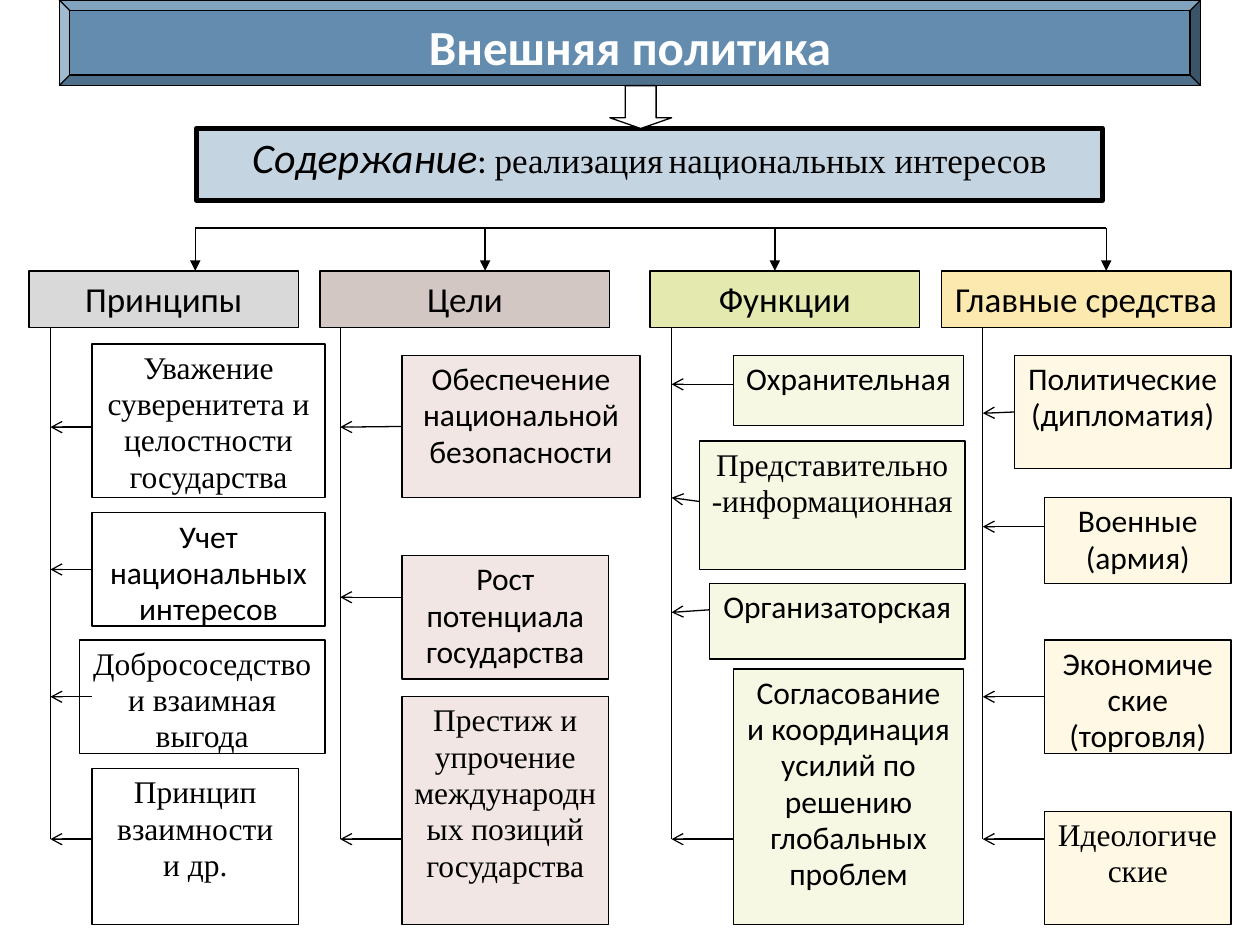
from lxml import etree
from pptx import Presentation
from pptx.dml.color import RGBColor
from pptx.enum.shapes import MSO_CONNECTOR, MSO_SHAPE
from pptx.enum.text import MSO_ANCHOR, PP_ALIGN
from pptx.oxml.ns import qn
from pptx.util import Inches, Pt

RECTANGLE, BEVEL, DOWN_ARROW = MSO_SHAPE.RECTANGLE, MSO_SHAPE.BEVEL, MSO_SHAPE.DOWN_ARROW
STRAIGHT = MSO_CONNECTOR.STRAIGHT
TOP, CENTER = MSO_ANCHOR.TOP, PP_ALIGN.CENTER
LEFT_SIDE = 1

BLACK = RGBColor(0x00, 0x00, 0x00)
WHITE = RGBColor(0xFF, 0xFF, 0xFF)
BLUE = RGBColor(0x63, 0x8C, 0xAE)
PALE_BLUE = RGBColor(0xC5, 0xD4, 0xE1)
GRAY = RGBColor(0xD9, 0xD9, 0xD9)
BROWN = RGBColor(0xD2, 0xC7, 0xC3)
PALE_BROWN = RGBColor(0xF1, 0xE6, 0xE3)
GREEN = RGBColor(0xE4, 0xE9, 0xAF)
PALE_GREEN = RGBColor(0xF6, 0xF8, 0xE4)
YELLOW = RGBColor(0xFC, 0xE9, 0xAF)
PALE_YELLOW = RGBColor(0xFE, 0xF8, 0xE4)

SANS, SERIF = "Calibri", "Times New Roman"
TIGHT = 0.96
BRANCH_Y, HEADING_TOP, HEADING_HEIGHT, SPINE_BOTTOM = 1.81, 2.15, 0.45, 6.66

# Heading, its left and width, branch x, spine x, x where arrows start, colours, and
# items: text, font, left, top, width, height, y of the arrow at the box and at the spine
COLUMNS = [
    ("Принципы", 0.23, 2.14, 1.55, 0.4, GRAY, WHITE, [
        ("Уважение суверенитета и целостности государства", SERIF,
         0.73, 2.73, 1.85, 1.22, 0.73, 3.39, 3.39),
        ("Учет национальных интересов", SANS, 0.73, 4.07, 1.85, 0.9, 0.73, 4.52, 4.52),
        ("Добрососедство и взаимная выгода", SERIF,
         0.63, 5.08, 1.95, 0.9, 0.73, 5.53, 5.53),
        ("Принцип взаимности\nи др.", SERIF, 0.73, 6.1, 1.64, 1.24, 0.73, 6.66, 6.66),
    ]),
    ("Цели", 2.54, 2.3, 3.85, 2.7, BROWN, PALE_BROWN, [
        ("Обеспечение национальной безопасности", SANS,
         3.19, 2.82, 1.89, 1.13, 3.19, 3.39, 3.39),
        ("Рост потенциала государства", SANS, 3.19, 4.41, 1.64, 0.98, 3.19, 4.74, 4.74),
        ("Престиж и упрочение международных позиций государства", SERIF,
         3.19, 5.53, 1.64, 1.81, 3.19, 6.66, 6.66),
    ]),
    ("Функции", 5.16, 2.14, 6.15, 5.33, GREEN, PALE_GREEN, [
        ("Охранительная", SANS, 5.82, 2.82, 1.83, 0.56, 5.82, 3.05, 3.05),
        ("Представительно-информационная", SERIF,
         5.55, 3.5, 2.11, 1.02, 5.55, 3.98, 3.95),
        ("Организаторская", SANS, 5.63, 4.63, 2.03, 0.6, 5.63, 4.84, 4.86),
        ("Согласование и координация усилий по решению глобальных проблем", SANS,
         5.82, 5.31, 1.83, 2.03, 5.82, 6.66, 6.66),
    ]),
    ("Главные средства", 7.47, 2.3, 8.78, 7.8, YELLOW, PALE_YELLOW, [
        ("Политические (дипломатия)", SANS, 8.05, 2.82, 1.72, 0.9, 8.05, 3.28, 3.28),
        ("Военные (армия)", SANS, 8.29, 3.95, 1.48, 0.68, 8.29, 4.18, 4.18),
        ("Экономические (торговля)", SANS, 8.29, 5.08, 1.48, 0.9, 8.29, 5.53, 5.53),
        ("Идеологические", SERIF, 8.29, 6.44, 1.48, 0.9, 8.29, 6.66, 6.66),
    ]),
]


def add_box(page, kind, left, top, width, height, fill, line_width=0.75):
    box = page.shapes.add_shape(
        kind, Inches(left), Inches(top), Inches(width), Inches(height))
    box.shadow.inherit = False
    box.fill.solid()
    box.fill.fore_color.rgb = fill
    box.line.color.rgb = BLACK
    box.line.width = Pt(line_width)
    return box


def style_span(span, size, font, color=BLACK, bold=False, italic=False):
    span.font.size = Pt(size)
    span.font.name = font
    span.font.color.rgb = color
    span.font.bold = bold
    span.font.italic = italic


def set_up_frame(box, line_spacing=1.0, space_after=10):
    frame = box.text_frame
    frame.word_wrap = True
    frame.vertical_anchor = TOP
    for para in frame.paragraphs:
        para.alignment = CENTER
        para.line_spacing = line_spacing
        para.space_after = Pt(space_after)


def write(box, text, size, font, color=BLACK, bold=False, line_spacing=1.0, space_after=10):
    box.text_frame.text = text
    set_up_frame(box, line_spacing, space_after)
    for para in box.text_frame.paragraphs:
        for span in para.runs:
            style_span(span, size, font, color, bold)


def add_line(page, start, end, arrowhead=None):
    """Draw a straight line from start to end, with an arrowhead at its end if named."""
    line = page.shapes.add_connector(STRAIGHT, *(Inches(v) for v in (*start, *end)))
    line.line.color.rgb = BLACK
    line.line.width = Pt(0.75)
    properties = line._element.spPr
    if arrowhead:
        outline = properties.find(qn("a:ln"))
        etree.SubElement(outline, qn("a:tailEnd"), type=arrowhead)
    etree.SubElement(properties, qn("a:effectLst"))
    return line


def add_item(page, item, spine_x, fill):
    text, font, left, top, width, height, arrow_x, box_y, spine_y = item
    box = add_box(page, RECTANGLE, left, top, width, height, fill)
    space_after = 10 if font == SANS else 0
    write(box, text, 18, font, line_spacing=TIGHT, space_after=space_after)
    arrow = add_line(page, (arrow_x, box_y), (spine_x, spine_y), "arrow")
    if arrow_x == left and abs(top + height / 2 - box_y) < 0.02:
        arrow.begin_connect(box, LEFT_SIDE)


def add_column(page, column):
    title, left, width, branch_x, spine_x, heading_fill, item_fill, items = column
    heading = add_box(
        page, RECTANGLE, left, HEADING_TOP, width, HEADING_HEIGHT, heading_fill)
    write(heading, title, 20, SANS)
    add_line(page, (branch_x, BRANCH_Y), (branch_x, HEADING_TOP), "triangle")
    add_line(page, (spine_x, HEADING_TOP + HEADING_HEIGHT), (spine_x, SPINE_BOTTOM))
    for item in items:
        add_item(page, item, spine_x, item_fill)


def add_content_box(page):
    box = add_box(page, RECTANGLE, 1.56, 1.02, 7.19, 0.57, PALE_BLUE, 3)
    set_up_frame(box, TIGHT)
    para = box.text_frame.paragraphs[0]
    for text, size, font, italic in [
        ("Содержание", 24, SANS, True),
        (": ", 20, SANS, False),
        ("реализация", 20, SERIF, False),
        (" ", 12, SERIF, False),
        ("национальных интересов", 20, SERIF, False),
    ]:
        span = para.add_run()
        span.text = text
        style_span(span, size, font, italic=italic)


def main():
    deck = Presentation()
    deck.slide_width, deck.slide_height = Inches(10), Inches(7.5)
    page = deck.slides.add_slide(deck.slide_layouts[6])

    title = add_box(page, BEVEL, 0.47, 0, 9.06, 0.68, BLUE)
    write(title, "Внешняя политика", 28, SANS, WHITE, bold=True)
    add_content_box(page)
    down_arrow = add_box(page, DOWN_ARROW, 4.84, 0.68, 0.49, 0.34, WHITE)
    down_arrow.adjustments[1] = 0.25

    add_line(page, (COLUMNS[0][3], BRANCH_Y), (COLUMNS[-1][3], BRANCH_Y))
    for column in COLUMNS:
        add_column(page, column)
    deck.save("out.pptx")


if __name__ == "__main__":
    main()
